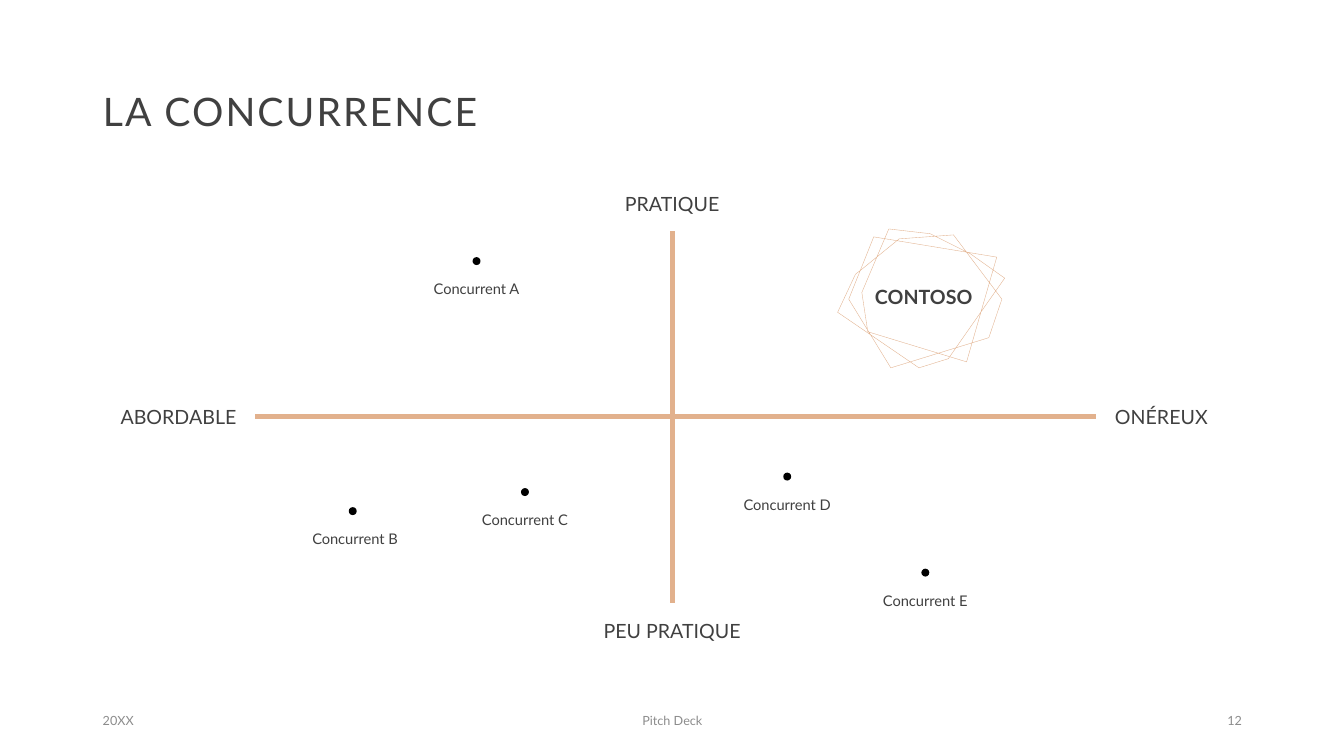
from dataclasses import dataclass

from lxml.etree import SubElement
from pptx import Presentation
from pptx.dml.color import RGBColor
from pptx.enum.shapes import MSO_CONNECTOR as Connector, MSO_SHAPE as Preset
from pptx.enum.text import MSO_ANCHOR as Anchor, PP_ALIGN as Align
from pptx.oxml.ns import qn
from pptx.util import Cm, Pt

COLOURS = {"ink": "404040", "footer": "8C8C8C", "accent": "E2B18D", "dot": "000000"}
FONT = "Lato"
CENTRE_X, AXIS_Y = 16.94, 10.49
LABEL_HEIGHT = 1.37
DOT_SIZE = 0.2
DOT_TO_LABEL = 0.7
TITLE_ONLY = 5


@dataclass(frozen=True)
class Axis:
    start: tuple[float, float]
    end: tuple[float, float]


@dataclass(frozen=True)
class Label:
    text: str
    x: float
    y: float
    width: float = 4.75
    size: float = 14
    bold: bool = False


@dataclass(frozen=True)
class Competitor:
    name: str
    x: float
    y: float
    label_shift: float = 0


@dataclass(frozen=True)
class FooterItem:
    text: str
    left: float
    width: float
    align: Align


AXES = (
    Axis((6.43, AXIS_Y), (27.61, AXIS_Y)),
    Axis((CENTRE_X, 15.19), (CENTRE_X, 5.82)),
)
LABELS = (
    Label("PRATIQUE", CENTRE_X, 5.13),
    Label("PEU PRATIQUE", CENTRE_X, 15.88),
    Label("ABORDABLE", 4.5, AXIS_Y, 3.86),
    Label("ONÉREUX", 29.27, AXIS_Y, 3.84),
    Label("CONTOSO", 23.28, 7.48, bold=True),
)
COMPETITORS = (
    Competitor("Concurrent A", 12.01, 6.58),
    Competitor("Concurrent B", 8.89, 12.88, 0.06),
    Competitor("Concurrent C", 13.23, 12.4),
    Competitor("Concurrent D", 19.84, 12.01),
    Competitor("Concurrent E", 23.32, 14.43),
)
FOOTER = (
    FooterItem("20XX", 2.34, 7.62, Align.LEFT),
    FooterItem("Pitch Deck", 11.23, 11.43, Align.CENTER),
    FooterItem("12", 23.93, 7.62, Align.RIGHT),
)
EMBLEM = (
    (22.66, 6.02), (21.69, 6.81), (21.56, 6.91), (21.11, 7.87), (23.16, 9.27),
    (23.9, 9.04), (24.59, 8.05), (25.32, 7.01), (24.46, 6.4), (23.44, 5.89),
    (22.4, 5.77), (21.72, 7.37), (21.87, 8.36), (24.36, 9.12), (25.12, 6.48),
    (22.02, 5.97), (21.39, 7.54), (22.45, 9.27), (24.92, 8.51), (25.25, 7.54),
    (24.03, 5.92),
)


def colour(name: str) -> RGBColor:
    """Look up a named colour."""
    return RGBColor.from_string(COLOURS[name])


def write(box, text: str, size: float, ink: str, align: Align, bold: bool = False):
    """Write one vertically centred line and return its paragraph and run."""
    frame = box.text_frame
    frame.word_wrap = True
    frame.vertical_anchor = Anchor.MIDDLE
    para = frame.paragraphs[0]
    para.alignment = align
    span = para.add_run()
    span.text = text
    span.font.name = FONT
    span.font.size = Pt(size)
    span.font.bold = bold
    span.font.color.rgb = colour(ink)
    return para, span


def draw_title(page, text: str) -> None:
    """Place and format the page title."""
    box = page.shapes.title
    box.left, box.top, box.width, box.height = Cm(2.34), Cm(1.02), Cm(29.21), Cm(3.68)
    para, span = write(box, text, 28, "ink", Align.LEFT)
    para.line_spacing = 0.9
    span.font._element.set("spc", "150")


def draw_axis(page, axis: Axis) -> None:
    """Draw one axis of the matrix."""
    ends = [Cm(value) for value in (*axis.start, *axis.end)]
    line = page.shapes.add_connector(Connector.STRAIGHT, *ends)
    line.line.color.rgb = colour("accent")
    line.line.width = Pt(3.5)
    SubElement(line._element.spPr, qn("a:effectLst"))


def draw_label(page, label: Label) -> None:
    """Write a label centred on its point."""
    box = page.shapes.add_textbox(
        Cm(label.x - label.width / 2), Cm(label.y - LABEL_HEIGHT / 2),
        Cm(label.width), Cm(LABEL_HEIGHT),
    )
    para, _ = write(box, label.text, label.size, "ink", Align.CENTER, label.bold)
    para.space_before = Pt(10)


def draw_competitor(page, competitor: Competitor) -> None:
    """Draw a competitor's dot with its name below."""
    dot = page.shapes.add_shape(
        Preset.OVAL, Cm(competitor.x - DOT_SIZE / 2), Cm(competitor.y - DOT_SIZE / 2),
        Cm(DOT_SIZE), Cm(DOT_SIZE),
    )
    dot.shadow.inherit = False
    dot.fill.solid()
    dot.fill.fore_color.rgb = colour("dot")
    dot.line.fill.background()
    label_x = competitor.x + competitor.label_shift
    draw_label(page, Label(competitor.name, label_x, competitor.y + DOT_TO_LABEL, 3.28, 10.5))


def draw_footer_item(page, item: FooterItem) -> None:
    """Write one part of the footer."""
    box = page.shapes.add_textbox(Cm(item.left), Cm(17.65), Cm(item.width), Cm(1.02))
    write(box, item.text, 9, "footer", item.align)


def draw_emblem(page) -> None:
    """Draw the overlapping thin polygons as one outline."""
    first, *rest = [(Cm(x), Cm(y)) for x, y in EMBLEM]
    builder = page.shapes.build_freeform(*first)
    builder.add_line_segments(rest, close=True)
    emblem = builder.convert_to_shape()
    emblem.shadow.inherit = False
    emblem.fill.background()
    emblem.line.color.rgb = colour("accent")
    emblem.line.width = Pt(0.25)


def main() -> None:
    """Build the competition slide."""
    deck = Presentation()
    deck.slide_width, deck.slide_height = Cm(33.87), Cm(19.05)
    page = deck.slides.add_slide(deck.slide_layouts[TITLE_ONLY])
    draw_title(page, "LA CONCURRENCE")
    for axis in AXES:
        draw_axis(page, axis)
    for label in LABELS:
        draw_label(page, label)
    for item in FOOTER:
        draw_footer_item(page, item)
    for competitor in COMPETITORS:
        draw_competitor(page, competitor)
    draw_emblem(page)
    deck.save("out.pptx")


if __name__ == "__main__":
    main()
